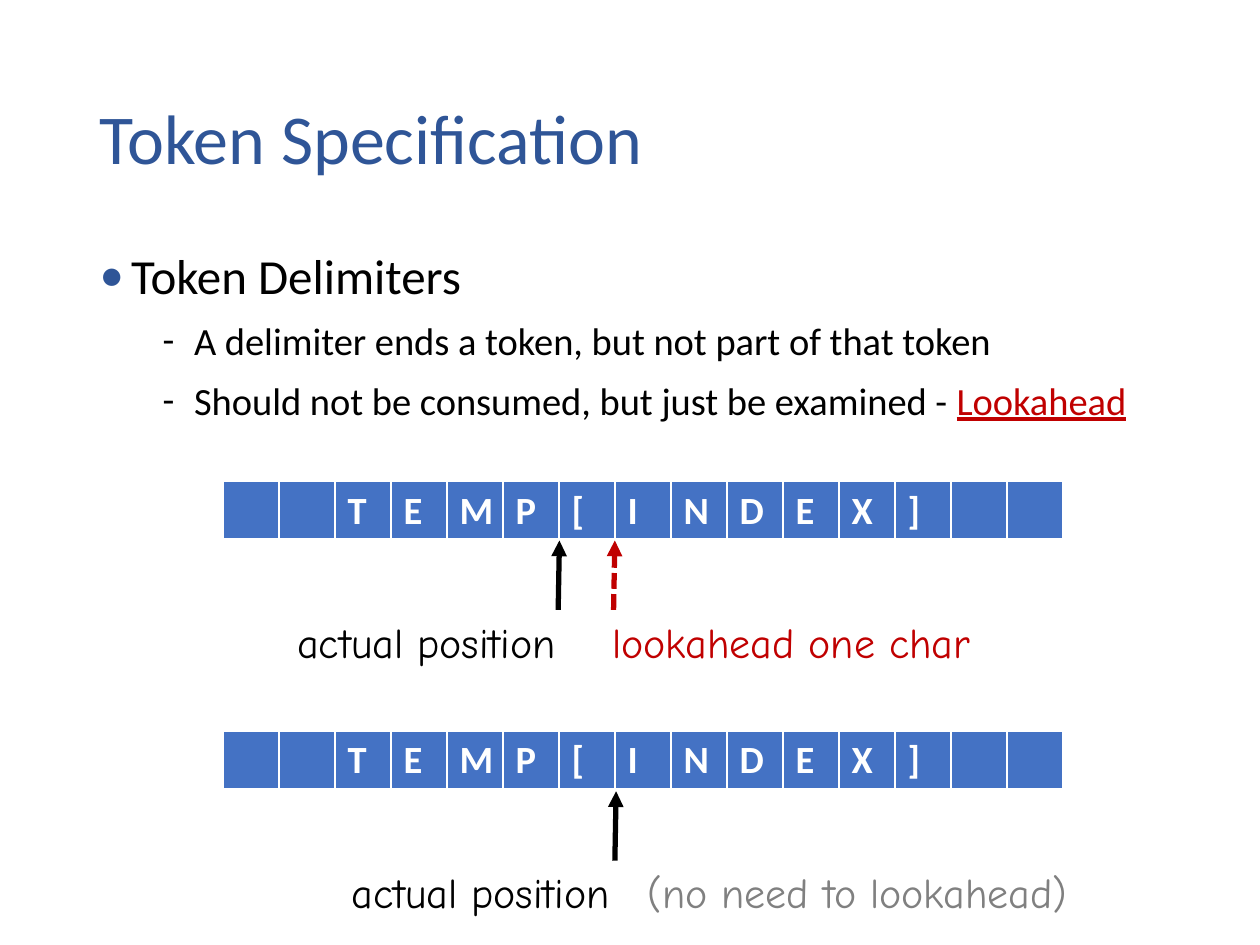
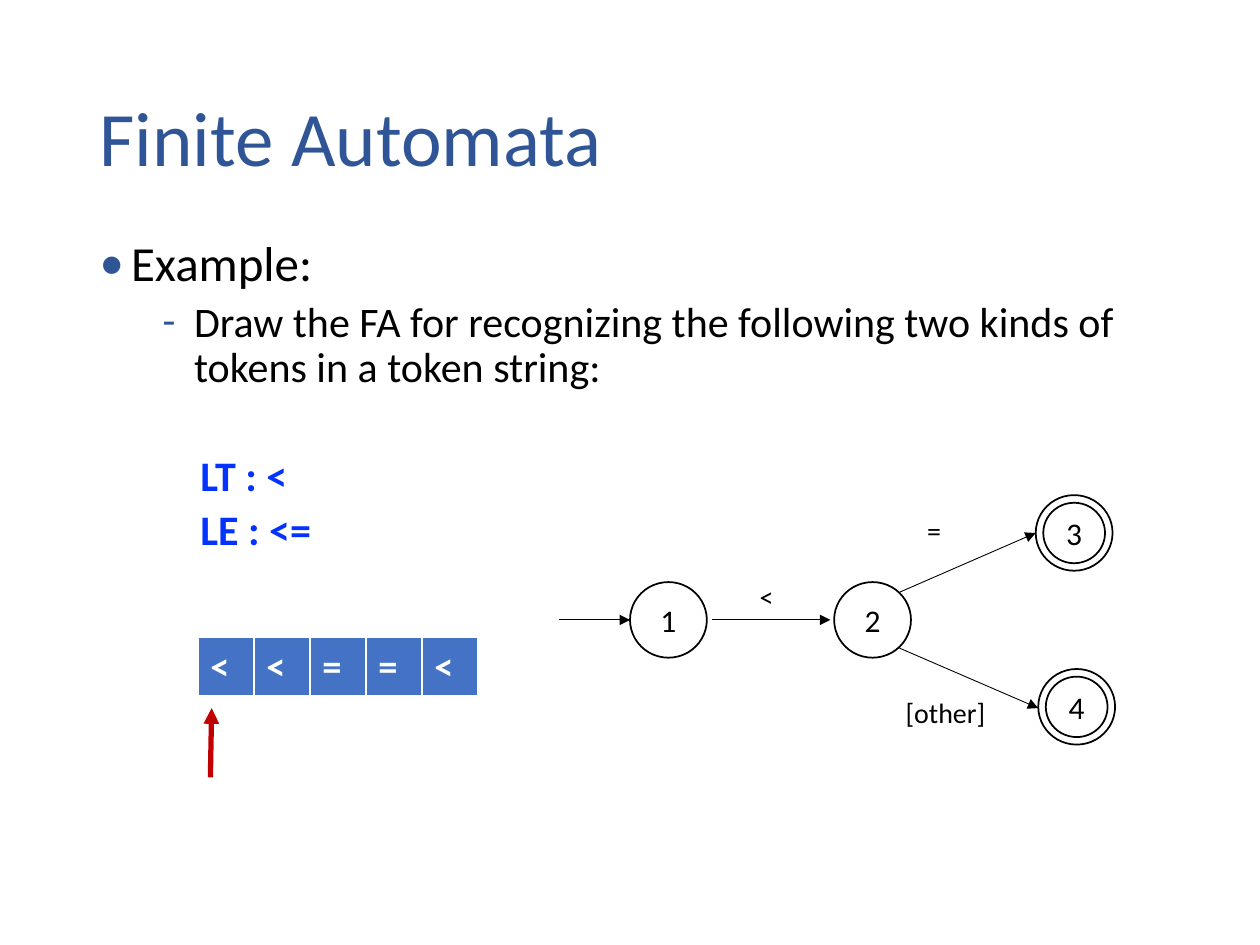
from dataclasses import dataclass

from lxml import etree
from pptx import Presentation
from pptx.dml.color import RGBColor
from pptx.enum.dml import MSO_LINE
from pptx.enum.shapes import MSO_CONNECTOR, MSO_SHAPE
from pptx.enum.text import MSO_ANCHOR, MSO_AUTO_SIZE, PP_ALIGN
from pptx.oxml.ns import qn
from pptx.util import Inches, Pt

STRAIGHT = MSO_CONNECTOR.STRAIGHT
OVAL = MSO_SHAPE.OVAL
DASHED = MSO_LINE.SQUARE_DOT
LEFT, CENTER = PP_ALIGN.LEFT, PP_ALIGN.CENTER
MIDDLE, TOP = MSO_ANCHOR.MIDDLE, MSO_ANCHOR.TOP
NO_FIT = MSO_AUTO_SIZE.NONE


@dataclass(frozen=True)
class Theme:
    """Colours, fonts and type sizes shared by the slides."""
    accent: str = "2F5597"
    text: str = "000000"
    alert: str = "C00000"
    muted: str = "808080"
    code: str = "0432FF"
    cell: str = "4472C4"
    white: str = "FFFFFF"
    font: str = "Calibri"
    note_font: str = "Comic Neue"
    heading: int = 28
    item: int = 24
    small_item: int = 22
    note: int = 24
    state: int = 18
    label: int = 16


class Deck:
    """Holds the theme and the slide being drawn."""

    def __init__(self, presentation, theme):
        self.presentation = presentation
        self.theme = theme
        self.slide = None

    def apply(self, target, values):
        for name, value in values.items():
            setattr(target, name, value)

    def add_text(self, paragraph, text, size, color=None, **values):
        run = paragraph.add_run()
        run.text = text
        self.apply(run.font, {"name": self.theme.font, "size": Pt(size), **values})
        run.font.color.rgb = RGBColor.from_string(color or self.theme.text)

    def place(self, shape, left, top, width, height):
        self.apply(shape, {"left": Inches(left), "top": Inches(top),
                           "width": Inches(width), "height": Inches(height)})

    def add_slide(self, title, size):
        layout = self.presentation.slide_layouts[1]
        self.slide = self.presentation.slides.add_slide(layout)
        shape = self.slide.shapes.title
        self.place(shape, 0.69, 0.4, 8.62, 1.45)
        frame = shape.text_frame
        self.apply(frame, {"vertical_anchor": MIDDLE, "auto_size": NO_FIT})
        paragraph = frame.paragraphs[0]
        self.apply(paragraph, {"alignment": LEFT, "line_spacing": 0.9})
        self.add_text(paragraph, title, size, self.theme.accent)

    def body(self, width, height, spacing, items):
        shape = self.slide.placeholders[1]
        self.place(shape, 0.69, 1.85, width, height)
        frame = shape.text_frame
        self.apply(frame, {"vertical_anchor": TOP, "auto_size": NO_FIT, "word_wrap": True})
        for index, item in enumerate(items):
            paragraph = frame.add_paragraph() if index else frame.paragraphs[0]
            self.apply(paragraph, {"level": min(index, 1), "alignment": LEFT,
                                   "line_spacing": spacing, "space_after": Pt(0),
                                   "space_before": Pt(item.get("before", 5) if index else 0)})
            self.bullet(paragraph, item)
            for text, values in item["runs"]:
                self.add_text(paragraph, text, item["size"], **values)

    def bullet(self, paragraph, item):
        properties = paragraph._p.get_or_add_pPr()
        mark = item.get("mark")
        properties.set("marL", str(Inches(item["indent"])))
        properties.set("indent", str(Inches(-0.25 if mark else 0)))
        if not mark:
            etree.SubElement(properties, qn("a:buNone"))
            return
        color = etree.SubElement(properties, qn("a:buClr"))
        etree.SubElement(color, qn("a:srgbClr"), val=item.get("mark_color", self.theme.text))
        etree.SubElement(properties, qn("a:buFont"), typeface=self.theme.font)
        etree.SubElement(properties, qn("a:buChar"), char=mark)

    def text_box(self, text, left, top, width, height, size, color=None,
                 align=LEFT, wrap=True, **values):
        shape = self.slide.shapes.add_textbox(
            Inches(left), Inches(top), Inches(width), Inches(height))
        shape.text_frame.word_wrap = wrap
        paragraph = shape.text_frame.paragraphs[0]
        paragraph.alignment = align
        self.add_text(paragraph, text, size, color, **values)

    def note(self, text, left, top, width, color=None):
        self.text_box(text, left, top, width, 0.5, self.theme.note, color,
                      CENTER, False, name=self.theme.note_font)

    def arrow(self, start, end, width=0.5, color=None, dash=None):
        connector = self.slide.shapes.add_connector(
            STRAIGHT, *(Inches(length) for length in (*start, *end)))
        line = connector.line
        line.color.rgb = RGBColor.from_string(color or self.theme.text)
        self.apply(line, {"width": Pt(width), "dash_style": dash})
        etree.SubElement(line._get_or_add_ln(), qn("a:tailEnd"), type="triangle")
        etree.SubElement(connector._element.spPr, qn("a:effectLst"))

    def pointer(self, x, bottom, color=None, dash=None):
        self.arrow((x, bottom), (x + 0.01, bottom - 0.55), 3, color, dash)

    def tape(self, characters, left, top):
        pitch = Inches(6.67 / 15)
        count = len(characters)
        table = self.slide.shapes.add_table(
            1, count, Inches(left), Inches(top), pitch * count, Inches(0.47)).table
        self.apply(table, {"first_row": False, "horz_banding": False})
        for column, character in enumerate(characters):
            table.columns[column].width = pitch
            cell = table.cell(0, column)
            self.borders(cell)
            cell.fill.solid()
            cell.fill.fore_color.rgb = RGBColor.from_string(self.theme.cell)
            if character.strip():
                self.add_text(cell.text_frame.paragraphs[0], character,
                              self.theme.small_item, self.theme.white, bold=True)

    def borders(self, cell):
        properties = cell._tc.get_or_add_tcPr()
        for side, width in {"L": 1, "R": 1, "T": 1, "B": 3}.items():
            line = etree.SubElement(properties, qn(f"a:ln{side}"), w=str(Pt(width)))
            fill = etree.SubElement(line, qn("a:solidFill"))
            etree.SubElement(fill, qn("a:srgbClr"), val=self.theme.white)

    def circle(self, left, top, width, height):
        shape = self.slide.shapes.add_shape(
            OVAL, Inches(left), Inches(top), Inches(width), Inches(height))
        shape.shadow.inherit = False
        shape.fill.background()
        shape.line.color.rgb = RGBColor.from_string(self.theme.text)
        shape.line.width = Pt(1)
        return shape

    def state(self, name, left, top, accepting=False):
        shape = self.circle(left, top, 0.61, 0.6)
        if accepting:
            shape = self.circle(left + 0.06, top + 0.06, 0.49, 0.48)
        frame = shape.text_frame
        margins = dict.fromkeys(
            ("margin_left", "margin_right", "margin_top", "margin_bottom"), 0)
        self.apply(frame, {"vertical_anchor": MIDDLE, "word_wrap": False, **margins})
        frame.paragraphs[0].alignment = CENTER
        self.add_text(frame.paragraphs[0], name, self.theme.state)


def token_specification(deck):
    """Show lookahead on a tape of characters."""
    theme = deck.theme
    deck.add_slide("Token Specification", 40)
    detail = {"size": theme.small_item, "indent": 0.75, "mark": "-"}
    deck.body(9.05, 1.8, 1.1, [
        {"size": theme.heading, "indent": 0.25, "mark": "•", "mark_color": theme.accent,
         "runs": [("Token Delimiters", {})]},
        {**detail, "runs": [("A delimiter ends a token, but not part of that token", {})]},
        {**detail, "runs": [("Should not be consumed, but just be examined - ", {}),
                            ("Lookahead", {"color": theme.alert, "underline": True})]},
    ])
    for top in (3.82, 5.8):
        deck.tape("  TEMP[INDEX]  ", 1.77, top)
    deck.pointer(4.43, 4.84)
    deck.pointer(4.87, 4.84, theme.alert, DASHED)
    deck.pointer(4.88, 6.83)
    deck.note("actual position", 2.18, 4.84, 2.41)
    deck.note("lookahead one char", 4.7, 4.84, 3.16, theme.alert)
    deck.note("actual position", 2.61, 6.83, 2.41)
    deck.note("(no need to lookahead)", 4.98, 6.83, 3.65, theme.muted)


def finite_automata(deck):
    """Show the automaton for two comparison tokens."""
    theme = deck.theme
    deck.add_slide("Finite Automata", 44)
    bullet = {"mark_color": theme.accent}
    token = {"size": theme.item, "indent": 0.8}
    code = {"color": theme.code, "bold": True}
    deck.body(9.12, 3.1, 0.9, [
        {**bullet, "size": theme.heading, "indent": 0.25, "mark": "•",
         "runs": [("Example:", {})]},
        {**bullet, "size": theme.item, "indent": 0.75, "mark": "-",
         "runs": [("Draw the FA for recognizing the following two kinds of "
                   "tokens in a token string:", {})]},
        {**token, "before": 36.4, "runs": [("LT : <", code)]},
        {**token, "runs": [("LE : <=", code)]},
    ])
    deck.tape("<<==<", 1.57, 5.06)
    deck.pointer(1.67, 6.17, theme.alert)
    for name, left, top, accepting in (("1", 5, 4.62, False), ("2", 6.62, 4.62, False),
                                       ("3", 8.22, 3.93, True), ("4", 8.24, 5.31, True)):
        deck.state(name, left, top, accepting)
    for start, end in (((4.44, 4.92), (5, 4.92)), ((5.65, 4.92), (6.59, 4.92)),
                       ((7.14, 4.7), (8.22, 4.23)), ((7.13, 5.14), (8.24, 5.62))):
        deck.arrow(start, end)
    for text, left, top, width in (("<", 5.93, 4.55, 0.29), ("=", 7.26, 4.03, 0.44),
                                   ("[other]", 7.09, 5.47, 0.9)):
        deck.text_box(text, left, top, width, 0.37, theme.label)


def main():
    """Build and save the slides."""
    presentation = Presentation()
    presentation.slide_width = Inches(10)
    presentation.slide_height = Inches(7.5)
    deck = Deck(presentation, Theme())
    token_specification(deck)
    finite_automata(deck)
    presentation.save("out.pptx")


if __name__ == "__main__":
    main()
